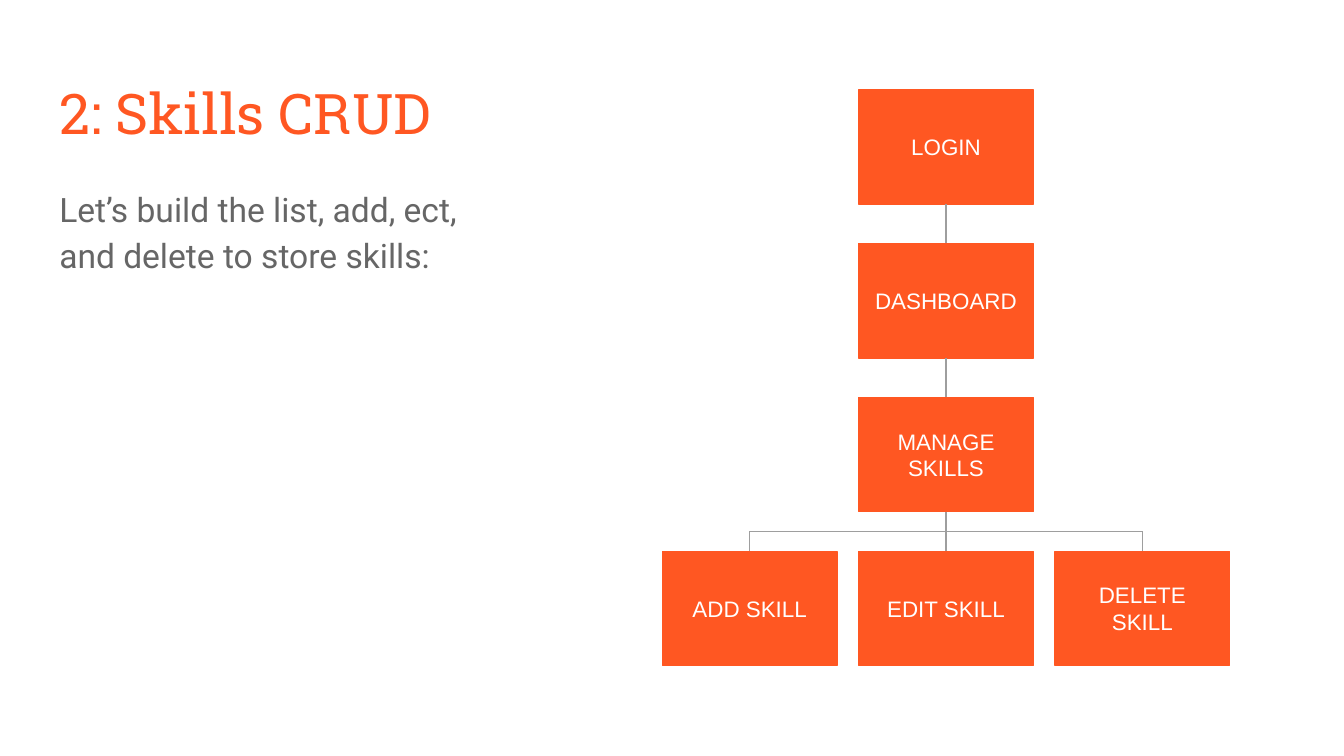
from lxml.etree import SubElement
from pptx import Presentation
from pptx.dml.color import RGBColor
from pptx.enum.shapes import MSO_CONNECTOR, MSO_SHAPE
from pptx.enum.text import MSO_ANCHOR, MSO_AUTO_SIZE, PP_ALIGN
from pptx.oxml.ns import qn
from pptx.util import Cm, Pt

HUES = {"accent": "FF5722", "body": "666666", "line": "9E9E9E", "label": "FFFFFF"}
PAD = 0.25
NODE_W, NODE_H = 3.3, 2.16
STEM = ["LOGIN", "DASHBOARD", "MANAGE SKILLS"]
LEAVES = ["ADD SKILL", "EDIT SKILL", "DELETE SKILL"]


def hue(name):
    return RGBColor.from_string(HUES[name])


def style(shape, text, font, size, color, align, anchor):
    frame = shape.text_frame
    frame.text = text
    frame.word_wrap = True
    frame.auto_size = MSO_AUTO_SIZE.NONE
    frame.vertical_anchor = anchor
    frame.margin_left = frame.margin_right = Cm(PAD)
    frame.margin_top = frame.margin_bottom = Cm(PAD)
    line = frame.paragraphs[0]
    line.alignment = align
    line.space_before = Pt(0)
    for run in line.runs:
        run.font.name = font
        run.font.size = Pt(size)
        run.font.color.rgb = hue(color)
    return line


def place(shape, box):
    shape.left, shape.top, shape.width, shape.height = [Cm(v) for v in box]


def add_title(slide, box, text):
    title = slide.shapes.title
    place(title, box)
    style(title, text, "Roboto Slab", 30, "accent", PP_ALIGN.LEFT, MSO_ANCHOR.TOP)


def add_body(slide, box, text):
    body = slide.placeholders[1]
    place(body, box)
    line = style(body, text, "Roboto", 18, "body", PP_ALIGN.LEFT, MSO_ANCHOR.TOP)
    line.line_spacing = 1.15
    line.space_after = Pt(16)
    props = line._p.get_or_add_pPr()
    props.set("marL", "0")
    props.set("indent", "0")
    SubElement(props, qn("a:buNone"))


def add_node(slide, x, y, text):
    box = [Cm(v) for v in (x, y, NODE_W, NODE_H)]
    node = slide.shapes.add_shape(MSO_SHAPE.RECTANGLE, *box)
    node.shadow.inherit = False
    node.fill.solid()
    node.fill.fore_color.rgb = hue("accent")
    node.line.color.rgb = hue("accent")
    node.line.width = Pt(0.75)
    style(node, text, "Arial", 12, "label", PP_ALIGN.CENTER, MSO_ANCHOR.MIDDLE)


def add_link(slide, *ends):
    link = slide.shapes.add_connector(MSO_CONNECTOR.STRAIGHT, *[Cm(v) for v in ends])
    link.line.color.rgb = hue("line")
    link.line.width = Pt(0.75)
    SubElement(link._element.spPr, qn("a:effectLst"))


def add_tree(slide, box):
    x, y, w, h = box
    step = (h - NODE_H) / len(STEM)
    gap = step - NODE_H
    mid = x + w / 2
    base = y + h - NODE_H
    rail = base - gap / 2
    pitch = (w - NODE_W) / (len(LEAVES) - 1)
    for i, text in enumerate(STEM):
        top = y + i * step
        add_node(slide, mid - NODE_W / 2, top, text)
        add_link(slide, mid, top + NODE_H, mid, top + step)
    for i, text in enumerate(LEAVES):
        add_node(slide, x + i * pitch, base, text)
    first, last = x + NODE_W / 2, x + w - NODE_W / 2
    add_link(slide, first, rail, last, rail)
    for end in (first, last):
        add_link(slide, end, base, end, rail)


def main():
    deck = Presentation()
    deck.slide_width, deck.slide_height = Cm(25.4), Cm(14.29)
    slide = deck.slides.add_slide(deck.slide_layouts[1])
    add_title(slide, (0.87, 1.24, 23.67, 1.6), "2: Skills CRUD")
    add_body(slide, (0.87, 3.2, 8.38, 9.5),
             "Let’s build the list, add, ect, and delete to store skills:")
    add_tree(slide, (12.52, 1.7, 10.72, 10.88))
    deck.save("out.pptx")


if __name__ == "__main__":
    main()
